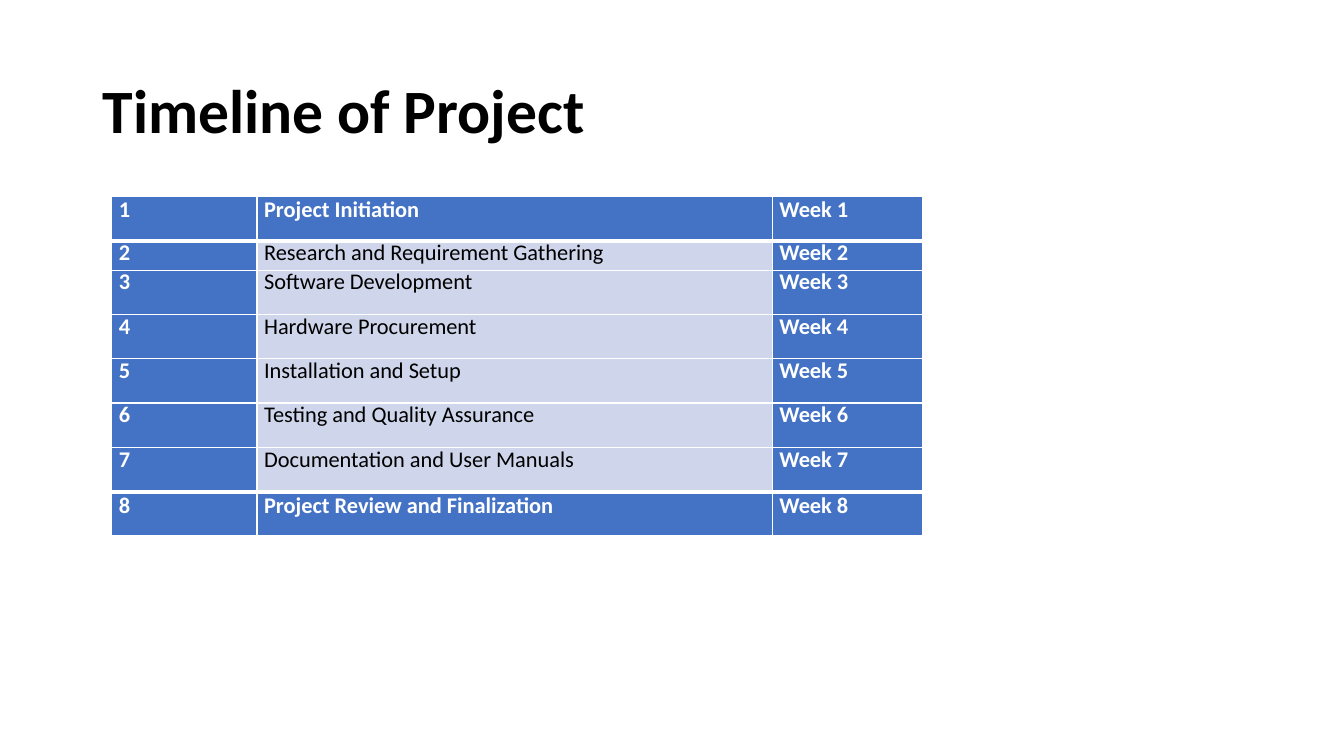
from lxml.etree import SubElement
from pptx import Presentation
from pptx.dml.color import RGBColor
from pptx.enum.text import MSO_ANCHOR
from pptx.oxml.ns import qn
from pptx.util import Inches, Pt

COLORS = {"black": "000000", "white": "FFFFFF", "blue": "4472C4", "pale": "CFD5EA"}
TASKS = [
    "Project Initiation",
    "Research and Requirement Gathering",
    "Software Development",
    "Hardware Procurement",
    "Installation and Setup",
    "Testing and Quality Assurance",
    "Documentation and User Manuals",
    "Project Review and Finalization",
]
LAST = len(TASKS) - 1
WIDTHS = [1.44, 5.11, 1.49]
HEIGHTS = [0.44, 0.29] + [0.44] * 6


def color(name):
    return RGBColor.from_string(COLORS[name])


def add_run(para, text, size, tint, bold):
    run = para.add_run()
    run.text = text
    font = run.font
    font.name, font.size, font.bold = "Calibri", Pt(size), bold
    font.color.rgb = color(tint)


def add_title(slide, text):
    box = slide.shapes.add_textbox(Inches(0.92), Inches(0.4), Inches(11.5), Inches(1.45))
    frame = box.text_frame
    frame.word_wrap = True
    frame.vertical_anchor = MSO_ANCHOR.MIDDLE
    para = frame.paragraphs[0]
    para.line_spacing = 0.9
    add_run(para, text, 44, "black", True)


def add_borders(cell, top, bottom):
    """Draw white cell edges; top and bottom are widths in points."""
    props = cell._tc.get_or_add_tcPr()
    for side, width in (("L", 1), ("R", 1), ("T", top), ("B", bottom)):
        line = SubElement(props, qn(f"a:ln{side}"), w=str(Pt(width)))
        fill = SubElement(line, qn("a:solidFill"))
        SubElement(fill, qn("a:srgbClr"), val=COLORS["white"])


def fill_cell(cell, text, row, strong):
    add_borders(cell, 3 if row in (1, LAST) else 1, 3 if row in (0, LAST - 1) else 1)
    cell.margin_left = cell.margin_right = cell.margin_top = cell.margin_bottom = 0
    cell.fill.solid()
    cell.fill.fore_color.rgb = color("blue" if strong else "pale")
    para = cell.text_frame.paragraphs[0]
    para._p.get_or_add_pPr().set("marL", str(Inches(0.07)))
    if row in (0, LAST):
        para.space_before = Pt(0.1)
    else:
        para.line_spacing = Pt(18.4)
    add_run(para, text, 16, "white" if strong else "black", strong)


def add_plan(slide):
    frame = slide.shapes.add_table(
        len(TASKS), len(WIDTHS), Inches(1.11), Inches(1.95),
        Inches(sum(WIDTHS)), Inches(sum(HEIGHTS)))
    table = frame.table
    for col, width in zip(table.columns, WIDTHS):
        col.width = Inches(width)
    for row, task in enumerate(TASKS):
        table.rows[row].height = Inches(HEIGHTS[row])
        texts = (str(row + 1), task, f"Week {row + 1}")
        for col, text in enumerate(texts):
            strong = col != 1 or row in (0, LAST)
            fill_cell(table.cell(row, col), text, row, strong)


def main():
    deck = Presentation()
    deck.slide_width, deck.slide_height = Inches(13.33), Inches(7.5)
    slide = deck.slides.add_slide(deck.slide_layouts[6])
    add_title(slide, "Timeline of Project")
    add_plan(slide)
    deck.save("out.pptx")


if __name__ == "__main__":
    main()
